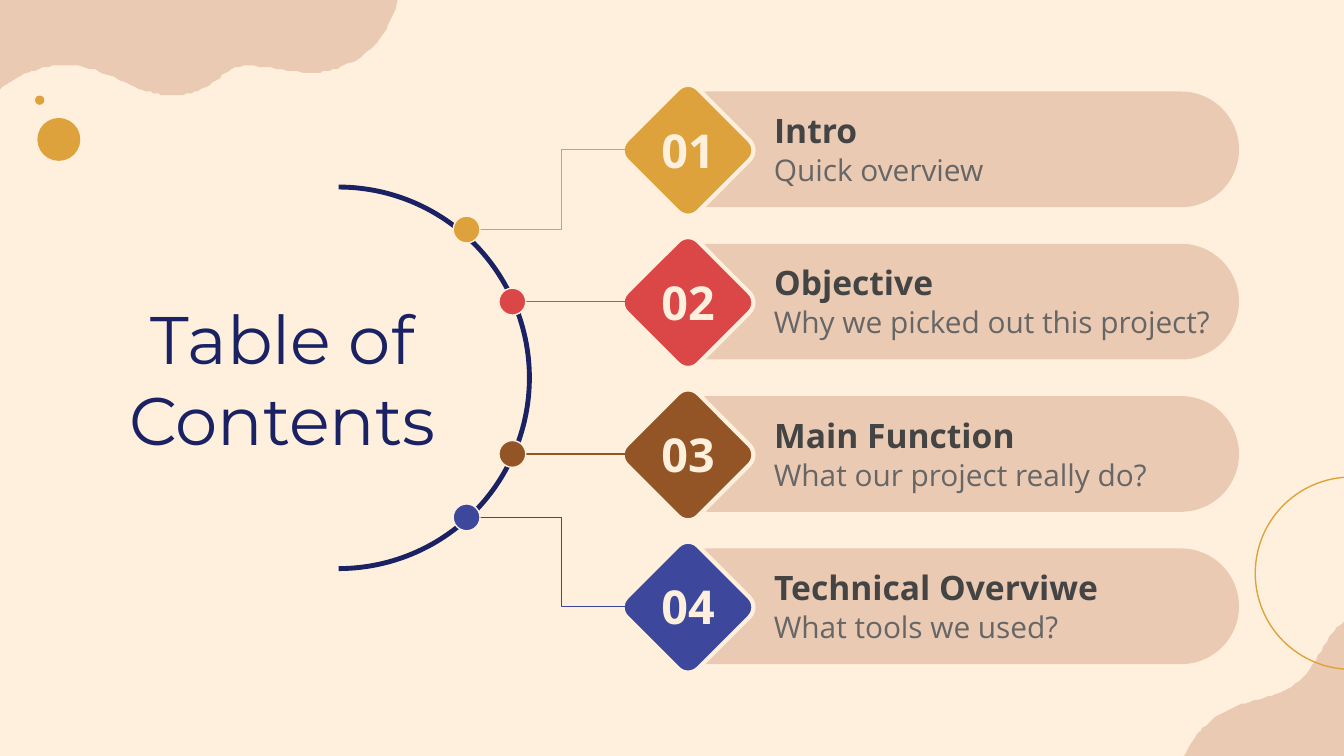
from math import comb

from lxml.etree import SubElement
from pptx import Presentation
from pptx.dml.color import RGBColor
from pptx.enum.shapes import MSO_CONNECTOR, MSO_SHAPE
from pptx.enum.text import MSO_ANCHOR, MSO_AUTO_SIZE, PP_ALIGN
from pptx.oxml.ns import qn
from pptx.util import Pt

CREAM, SAND, GOLD, NAVY = "FFF0DE", "EBCAB3", "DEA23C", "1A2263"

TITLE = "Table of Contents"
ITEMS = [
    ("01", "Intro", "Quick overview", GOLD),
    ("02", "Objective", "Why we picked out this project?", "DB4646"),
    ("03", "Main Function", "What our project really do?", "945526"),
    ("04", "Technical Overviwe", "What tools we used?", "3D489C"),
]
DOTS = [(250, 123), (274.5, 161.6), (274.5, 243.2), (250, 277.2)]

TITLE_FONT = {"size": Pt(36), "name": "Montserrat", "bold": False}
NUMBER_FONT = {"size": Pt(25), "name": "Open Sans", "bold": True}
HEADING_FONT = {"size": Pt(18), "name": "Open Sans", "bold": True}
DETAIL_FONT = {"size": Pt(16), "name": "Open Sans", "bold": False}

TOP_BLOB = [
    [(0, 0)], [(0, 47.5)],
    [(5, 44.6), (9.4, 41), (15.1, 38.9)],
    [(23, 36), (29.5, 34.6), (35.3, 34.6)],
    [(49, 34.6), (59, 41), (74.9, 47.5)],
    [(80.6, 49.7), (86.4, 51.1), (92.2, 51.1)],
    [(98.6, 51.1), (104.4, 49.7), (110.2, 46.8)],
    [(118.8, 41.8), (122.4, 35.3), (133.2, 35.3)],
    [(146.2, 35.3), (156.2, 38.9), (167.8, 38.9)],
    [(172.1, 38.9), (177.1, 38.2), (182.2, 36)],
    [(198.7, 30.2), (208.1, 18.7), (213, 0)],
]
CORNER_BLOB = [
    [(640.8, 393.8)], [(643, 391.7)],
    [(648.7, 385.2), (656.6, 380.2), (665.3, 377.3)],
    [(673.9, 374.4), (684, 373), (691.9, 367.9)],
    [(702, 362.2), (705.6, 350.6), (712.1, 341.3)],
    [(715.7, 336.2), (721.4, 331.2), (727.9, 330.5)],
    [(741.6, 329), (746.6, 342), (746.6, 353.5)],
    [(746.6, 367.2), (740.2, 380.2), (733.7, 392.4)],
    [(727.9, 403.2), (720, 413.3), (711.4, 421.2)],
    [(698.4, 432.7), (682.6, 444.2), (666, 448.6)],
    [(653.8, 452.2), (639.4, 447.8), (632.9, 437)],
    [(625, 423.4), (632.2, 405.4), (640.8, 393.8)],
]

FIRST_ROW, ROW_STEP = 80, 81.6
BAR_LEFT, BAR_W, BAR_H = 349.2, 314.6, 62
DIAMOND_X, DIAMOND_SIDE = 368.6, 54
LINK_START, LINK_BEND = 337, 301
TEXT_LEFT, TEXT_H = 407.5, 26
DOT = 14.4


def rgb(hex_color):
    return RGBColor.from_string(hex_color)


def paint(sp, fill=None, line=None, weight=0.75):
    sp.shadow.inherit = False
    if fill:
        sp.fill.solid()
        sp.fill.fore_color.rgb = rgb(fill)
    else:
        sp.fill.background()
    if line:
        sp.line.color.rgb = rgb(line)
        sp.line.width = Pt(weight)
    else:
        sp.line.fill.background()


def add_shape(s, kind, left, top, width, height, **look):
    sp = s.shapes.add_shape(kind, Pt(left), Pt(top), Pt(width), Pt(height))
    paint(sp, **look)
    return sp


def add_blob(s, segments, fill, steps=12):
    points = [segments[0][0]]
    for segment in segments[1:]:
        ctrl = [points[-1]] + segment
        n = len(ctrl) - 1
        for i in range(1, steps + 1):
            t = i / steps
            weights = [comb(n, k) * t**k * (1 - t)**(n - k) for k in range(n + 1)]
            points.append(tuple(sum(w * c[axis] for w, c in zip(weights, ctrl))
                                for axis in (0, 1)))
    builder = s.shapes.build_freeform(*points[0], scale=Pt(1))
    builder.add_line_segments(points[1:], close=True)
    paint(builder.convert_to_shape(), fill=fill)


def add_link(s, start, end, color):
    bent = start[1] != end[1]
    kind = MSO_CONNECTOR.ELBOW if bent else MSO_CONNECTOR.STRAIGHT
    link = s.shapes.add_connector(kind, *(Pt(v) for v in start + end))
    link.line.color.rgb = rgb(color)
    link.line.width = Pt(0.75)
    sp_pr = link.element.spPr
    SubElement(sp_pr, qn("a:effectLst"))
    if bent:
        bend = round(100000 * (start[0] - LINK_BEND) / (start[0] - end[0]))
        guides = sp_pr.find(qn("a:prstGeom")).get_or_add_avLst()
        SubElement(guides, qn("a:gd"), name="adj1", fmla=f"val {bend}")


def write(sp, text, box, font, color, align=PP_ALIGN.LEFT, anchor=MSO_ANCHOR.TOP):
    sp.left, sp.top, sp.width, sp.height = (Pt(v) for v in box)
    tf = sp.text_frame
    frame = {"word_wrap": True, "auto_size": MSO_AUTO_SIZE.NONE, "vertical_anchor": anchor}
    frame.update({f"margin_{side}": Pt(7.2) for side in ("left", "top", "right", "bottom")})
    for key, value in frame.items():
        setattr(tf, key, value)
    p = tf.paragraphs[0]
    p.alignment, p.space_before = align, Pt(0)
    p_pr = p._p.get_or_add_pPr()
    p_pr.set("marL", "0")
    p_pr.set("indent", "0")
    SubElement(p_pr, qn("a:buNone"))
    r = p.add_run()
    r.text = text
    for key, value in font.items():
        setattr(r.font, key, value)
    r.font.color.rgb = rgb(color)


def add_text(s, *args, **kwargs):
    write(s.shapes.add_textbox(0, 0, 0, 0), *args, **kwargs)


def main():
    prs = Presentation()
    prs.slide_width, prs.slide_height = Pt(720), Pt(405)
    s = prs.slides.add_slide(prs.slide_layouts.get_by_name("Comparison"))
    s.background.fill.solid()
    s.background.fill.fore_color.rgb = rgb(CREAM)
    title, *headings = s.placeholders
    centered = {"align": PP_ALIGN.CENTER, "anchor": MSO_ANCHOR.MIDDLE}

    add_blob(s, TOP_BLOB, SAND)
    add_blob(s, CORNER_BLOB, SAND)
    add_shape(s, MSO_SHAPE.OVAL, 18.8, 51.2, 5, 5, fill=GOLD)
    add_shape(s, MSO_SHAPE.OVAL, 20, 63.2, 23, 23, fill=GOLD)
    add_shape(s, MSO_SHAPE.OVAL, 672.5, 255.6, 103, 103, line=GOLD)
    arc = add_shape(s, MSO_SHAPE.ARC, 79.2, 100.2, 204.4, 204.4, line=NAVY, weight=2.61)
    arc.adjustments[1] = 54

    write(title, TITLE, (45.4, 157, 211.7, 91.4), TITLE_FONT, NAVY, **centered)

    for i, (number, name, detail, color) in enumerate(ITEMS):
        y = FIRST_ROW + i * ROW_STEP
        dot_x, dot_y = DOTS[i]
        link_y = y if dot_x < LINK_BEND - 40 else dot_y
        bar = add_shape(s, MSO_SHAPE.ROUNDED_RECTANGLE, BAR_LEFT, y - BAR_H / 2,
                        BAR_W, BAR_H, fill=SAND)
        bar.adjustments[0] = 0.5
        diamond = add_shape(s, MSO_SHAPE.ROUNDED_RECTANGLE, DIAMOND_X - DIAMOND_SIDE / 2,
                            y + 0.5 - DIAMOND_SIDE / 2, DIAMOND_SIDE, DIAMOND_SIDE,
                            fill=color, line=CREAM, weight=2.25)
        diamond.adjustments[0] = 0.14
        diamond.rotation = 45
        add_link(s, (LINK_START, link_y), (dot_x, dot_y), color)
        add_shape(s, MSO_SHAPE.OVAL, dot_x - DOT / 2, dot_y - DOT / 2, DOT, DOT,
                  fill=color, line=CREAM)
        add_text(s, number, (DIAMOND_X - 35.3, y - BAR_H / 2, 70.6, BAR_H),
                 NUMBER_FONT, CREAM, **centered)
        heading = headings[i]
        heading.element.getparent().append(heading.element)
        write(heading, name, (TEXT_LEFT, y - 28.3, 240, TEXT_H), HEADING_FONT, "444444")
        add_text(s, detail, (TEXT_LEFT, y - 5.9, 252.7, TEXT_H), DETAIL_FONT, "666666")

    prs.save("out.pptx")


if __name__ == "__main__":
    main()
